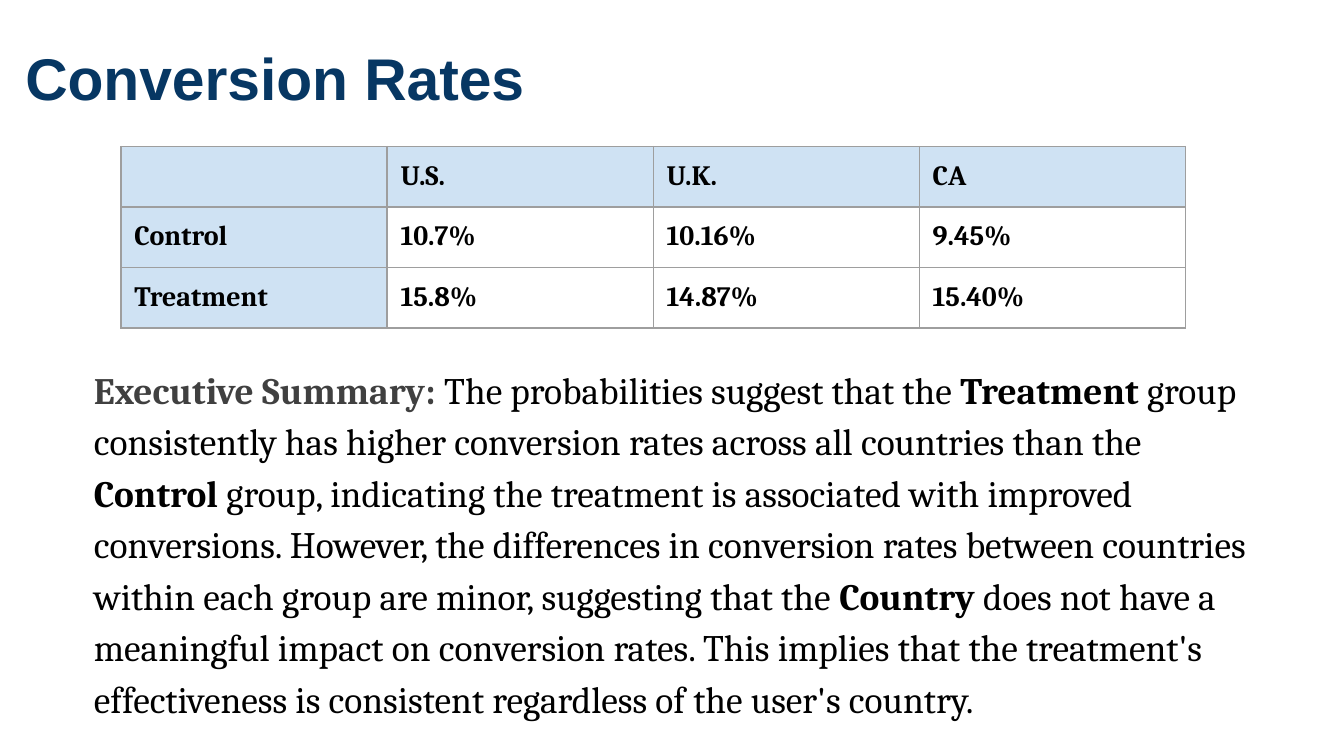
"""Build the Conversion Rates slide with a rate table and an executive summary."""
from lxml.etree import SubElement
from pptx import Presentation
from pptx.dml.color import RGBColor
from pptx.oxml.ns import qn
from pptx.util import Inches, Pt

NAVY = RGBColor(0x07, 0x37, 0x63)
BLACK = RGBColor(0x00, 0x00, 0x00)
WHITE = RGBColor(0xFF, 0xFF, 0xFF)
GRAY = RGBColor(0x40, 0x40, 0x40)
PALE_BLUE = RGBColor(0xCF, 0xE2, 0xF3)
BORDER = RGBColor(0x9E, 0x9E, 0x9E)

TITLE = [("Conversion Rates", True, NAVY)]
RATES = [
    ["", "U.S.", "U.K.", "CA"],
    ["Control", "10.7%", "10.16%", "9.45%"],
    ["Treatment", "15.8%", "14.87%", "15.40%"],
]
SUMMARY = [
    ("Executive Summary: ", True, GRAY),
    ("The probabilities suggest that the ", False, BLACK),
    ("Treatment", True, BLACK),
    (" group consistently has higher conversion rates across all countries than the ", False, BLACK),
    ("Control", True, BLACK),
    (" group, indicating the treatment is associated with improved conversions. However, "
     "the differences in conversion rates between countries within each group are minor, "
     "suggesting that the ", False, BLACK),
    ("Country", True, BLACK),
    (" does not have a meaningful impact on conversion rates. This implies that the "
     "treatment's effectiveness is consistent regardless of the user's country.", False, BLACK),
]
SLIDE_WIDTH = Inches(10)
SLIDE_HEIGHT = SLIDE_WIDTH * 9 // 16
COLUMN_WIDTH, ROW_HEIGHT, PADDING = 1.98, 0.45, 0.1


def set_margins(target, vertical=PADDING):
    target.margin_left = target.margin_right = Inches(PADDING)
    target.margin_top = target.margin_bottom = Inches(vertical)


def add_spans(para, spans, font_name, size):
    for text, bold, color in spans:
        span = para.add_run()
        span.text = text
        span.font.name = font_name
        span.font.size = Pt(size)
        span.font.bold = bold
        span.font.color.rgb = color


def add_text(page, bounds, spans, font_name, size, line_spacing=1.0):
    box = page.shapes.add_textbox(*map(Inches, bounds))
    box.text_frame.word_wrap = True
    set_margins(box.text_frame)
    para = box.text_frame.paragraphs[0]
    para.line_spacing = line_spacing
    add_spans(para, spans, font_name, size)


def add_borders(cell):
    properties = cell._tc.get_or_add_tcPr()
    for side in ("a:lnL", "a:lnR", "a:lnT", "a:lnB"):
        line = SubElement(properties, qn(side), w=str(Pt(0.75)))
        fill = SubElement(line, qn("a:solidFill"))
        SubElement(fill, qn("a:srgbClr"), val=str(BORDER))


def add_rates(page, left, top):
    row_count, column_count = len(RATES), len(RATES[0])
    table = page.shapes.add_table(
        row_count, column_count, Inches(left), Inches(top),
        Inches(COLUMN_WIDTH * column_count), Inches(ROW_HEIGHT * row_count)).table
    for row_index, row in enumerate(RATES):
        for column_index, text in enumerate(row):
            cell = table.cell(row_index, column_index)
            set_margins(cell, PADDING if text else 0)
            add_borders(cell)
            is_header = row_index == 0 or column_index == 0
            cell.fill.solid()
            cell.fill.fore_color.rgb = PALE_BLUE if is_header else WHITE
            if text:
                add_spans(cell.text_frame.paragraphs[0], [(text, True, BLACK)], "Cambria", 15)


def main():
    deck = Presentation()
    deck.slide_width, deck.slide_height = SLIDE_WIDTH, SLIDE_HEIGHT
    page = deck.slides.add_slide(deck.slide_layouts[6])
    add_text(page, (0.09, 0.21, 10, 0.73), TITLE, "Arial", 31.5)
    add_rates(page, 0.9, 1.09)
    add_text(page, (0.6, 2.58, 8.98, 2.91), SUMMARY, "Cambria", 20, 1.15)
    deck.save("out.pptx")


if __name__ == "__main__":
    main()
